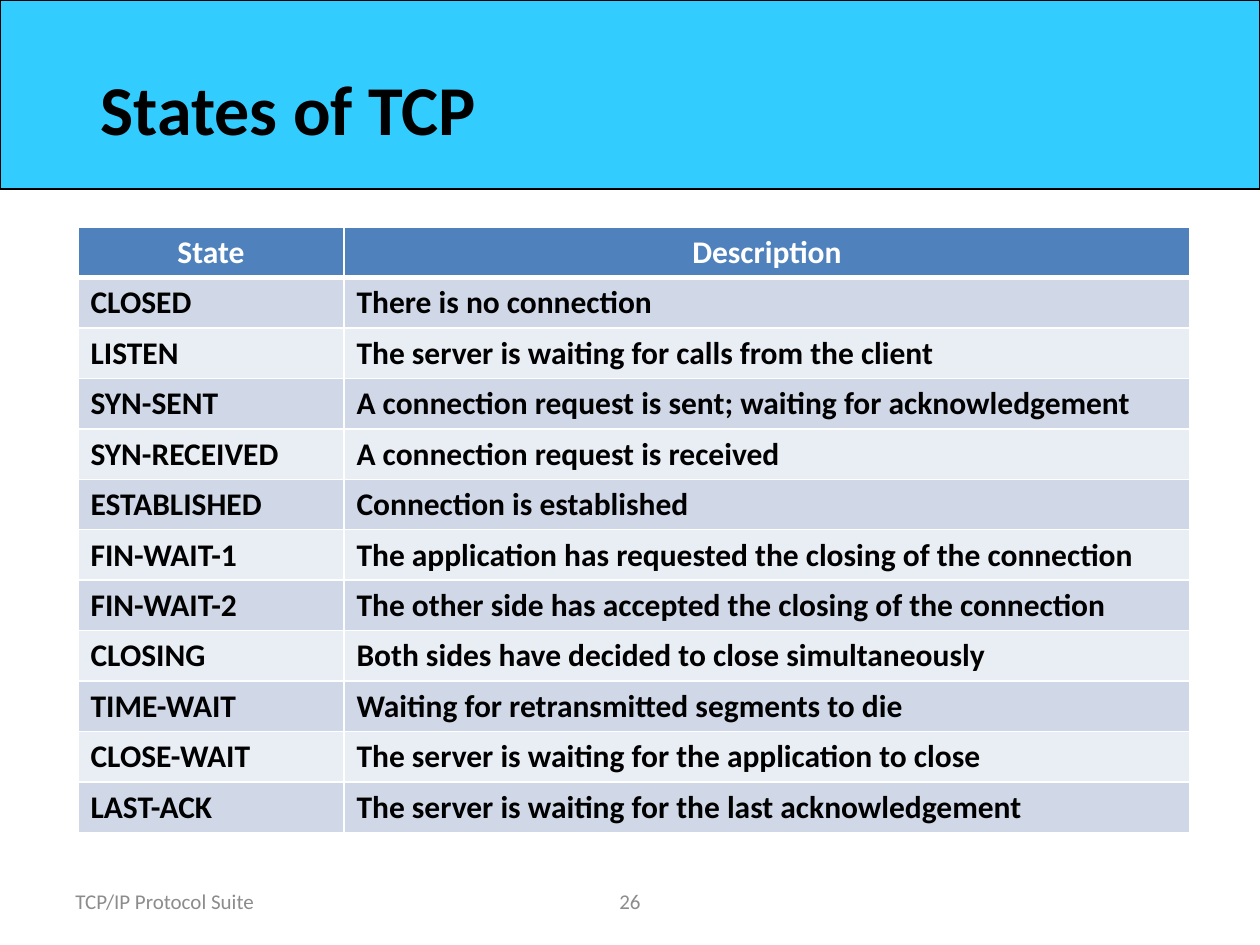
from lxml import etree
from pptx import Presentation
from pptx.dml.color import RGBColor
from pptx.enum.shapes import MSO_SHAPE
from pptx.enum.text import MSO_ANCHOR, MSO_AUTO_SIZE, PP_ALIGN
from pptx.oxml.ns import qn
from pptx.util import Pt

EMU_PER_PX = 914400 / 126
RECTANGLE = MSO_SHAPE.RECTANGLE
TOP, MIDDLE = MSO_ANCHOR.TOP, MSO_ANCHOR.MIDDLE
FIT_SHAPE = MSO_AUTO_SIZE.SHAPE_TO_FIT_TEXT
LEFT, CENTER = PP_ALIGN.LEFT, PP_ALIGN.CENTER
FONT = "Calibri"
TITLE_ONLY_LAYOUT = 5

COLORS = {
    "banner": "33CCFF",
    "header": "4F81BD",
    "odd_row": "D0D8E8",
    "even_row": "E9EDF4",
    "black": "000000",
    "white": "FFFFFF",
    "footer": "8C8C8C",
}

COLUMN_WIDTHS = (266, 846)
TABLE_HEIGHT = 605
ROWS = [
    ("State", "Description"),
    ("CLOSED", "There is no connection"),
    ("LISTEN", "The server is waiting for calls from the client"),
    ("SYN-SENT", "A connection request is sent; waiting for acknowledgement"),
    ("SYN-RECEIVED", "A connection request is received"),
    ("ESTABLISHED", "Connection is established"),
    ("FIN-WAIT-1", "The application has requested the closing of the connection"),
    ("FIN-WAIT-2", "The other side has accepted the closing of the connection"),
    ("CLOSING", "Both sides have decided to close simultaneously"),
    ("TIME-WAIT", "Waiting for retransmitted segments to die"),
    ("CLOSE-WAIT", "The server is waiting for the application to close"),
    ("LAST-ACK", "The server is waiting for the last acknowledgement"),
]


def px(length):
    return round(length * EMU_PER_PX)


def color(name):
    return RGBColor.from_string(COLORS[name])


def write_text(text_frame, text, size, color_name, bold=False, align=LEFT):
    paragraph = text_frame.paragraphs[0]
    paragraph.alignment = align
    run = paragraph.add_run()
    run.text = text
    run.font.name = FONT
    run.font.size = Pt(size)
    run.font.bold = bold
    run.font.color.rgb = color(color_name)


def add_banner(slide):
    banner = slide.shapes.add_shape(RECTANGLE, 0, 0, px(1260), px(189))
    banner.shadow.inherit = False
    banner.fill.solid()
    banner.fill.fore_color.rgb = color("banner")
    banner.line.color.rgb = color("black")
    banner.line.width = Pt(0.75)
    return banner


def place_title(slide, banner, text):
    title = slide.shapes.title
    title.left, title.top = px(88), px(59)
    title.width, title.height = px(452), px(97)
    title.text_frame.vertical_anchor = TOP
    title.text_frame.word_wrap = True
    title.text_frame.auto_size = FIT_SHAPE
    write_text(title.text_frame, text, 40, "black", bold=True)
    banner.element.addnext(title.element)


def add_footer(slide, left, width, text, align):
    box = slide.shapes.add_textbox(px(left), px(876), px(width), px(50))
    box.text_frame.word_wrap = True
    box.text_frame.vertical_anchor = MIDDLE
    write_text(box.text_frame, text, 12, "footer", align=align)


def set_borders(cell, widths):
    properties = cell._tc.get_or_add_tcPr()
    for side, width in widths.items():
        line = etree.SubElement(properties, qn(f"a:ln{side}"), w=str(Pt(width)))
        fill = etree.SubElement(line, qn("a:solidFill"))
        etree.SubElement(fill, qn("a:srgbClr"), val=COLORS["white"])


def format_cell(cell, row_index, text):
    is_header = row_index == 0
    set_borders(cell, {
        "L": 1,
        "R": 1,
        "T": 3 if row_index == 1 else 1,
        "B": 3 if is_header else 1,
    })
    row_fill = "odd_row" if row_index % 2 else "even_row"
    cell.fill.solid()
    cell.fill.fore_color.rgb = color("header" if is_header else row_fill)
    write_text(cell.text_frame, text, 18, "white" if is_header else "black",
               bold=True, align=CENTER if is_header else LEFT)


def add_state_table(slide):
    table = slide.shapes.add_table(
        len(ROWS), len(COLUMN_WIDTHS), px(78), px(227),
        px(sum(COLUMN_WIDTHS)), px(TABLE_HEIGHT)).table
    for column, width in zip(table.columns, COLUMN_WIDTHS):
        column.width = px(width)
    for row_index, texts in enumerate(ROWS):
        table.rows[row_index].height = px(TABLE_HEIGHT / len(ROWS))
        for column_index, text in enumerate(texts):
            format_cell(table.cell(row_index, column_index), row_index, text)


def main():
    presentation = Presentation()
    presentation.slide_width = px(1260)
    presentation.slide_height = px(945)
    layout = presentation.slide_layouts[TITLE_ONLY_LAYOUT]
    slide = presentation.slides.add_slide(layout)
    add_footer(slide, 63, 294, "TCP/IP Protocol Suite", LEFT)
    add_footer(slide, 430, 400, "26", CENTER)
    banner = add_banner(slide)
    place_title(slide, banner, "States of TCP")
    add_state_table(slide)
    presentation.save("out.pptx")


if __name__ == "__main__":
    main()
